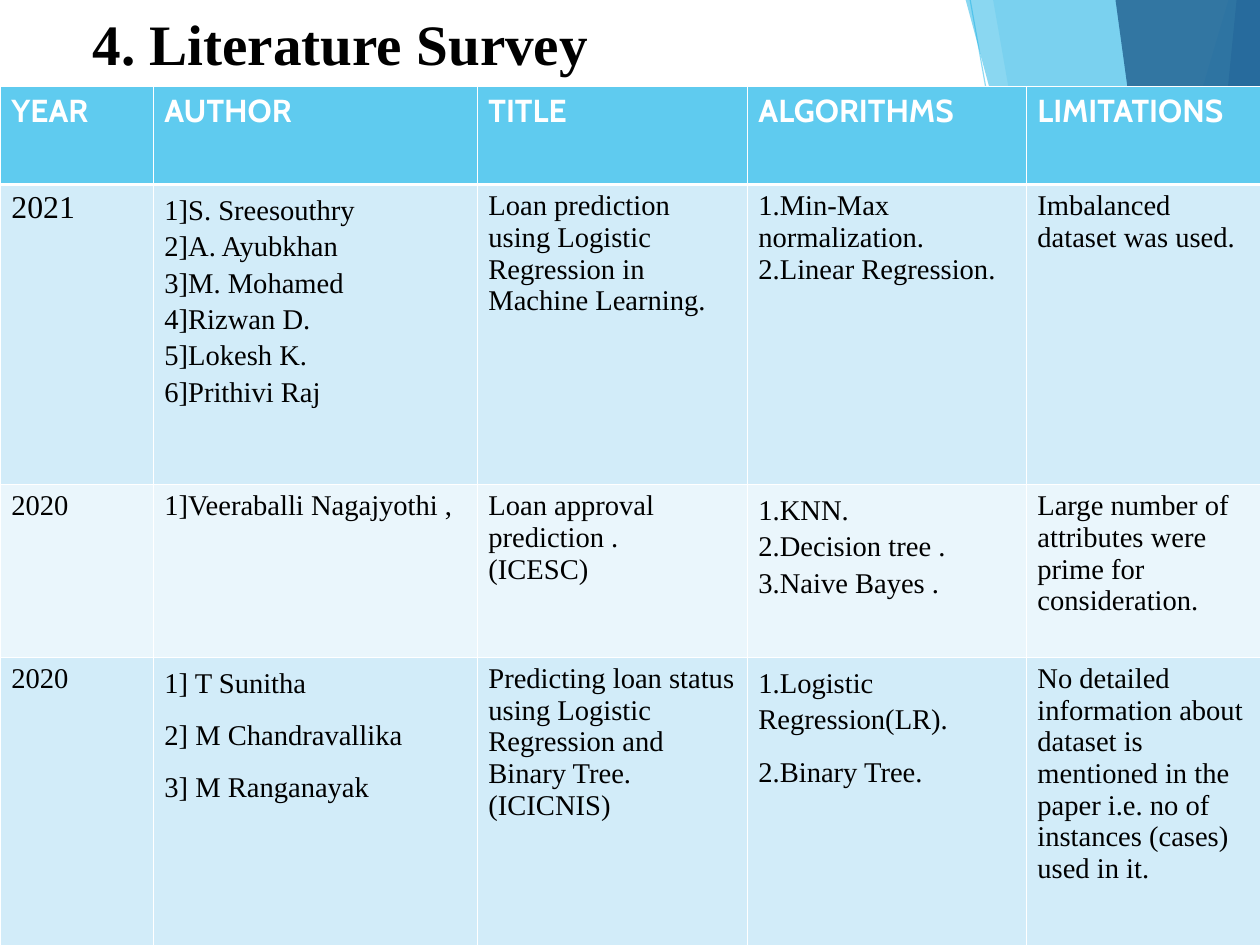
from dataclasses import dataclass

from lxml import etree
from pptx import Presentation, util as u
from pptx.dml.color import RGBColor
from pptx.enum import shapes, text
from pptx.oxml import ns


@dataclass(frozen=True)
class Theme:
    sky: str = "5FCBEF"
    azure: str = "17B0E4"
    blue: str = "2E83C3"
    navy: str = "236292"
    band_dark: str = "D2ECF9"
    band_light: str = "EAF6FC"
    white: str = "FFFFFF"
    black: str = "000000"
    heading_font: str = "Cabin"
    body_font: str = "Times New Roman"
    title_size: int = 36
    heading_size: int = 20
    body_size: int = 18
    thin_rule: float = 0.45
    thick_rule: float = 1.47


THEME = Theme()
SLIDE_WIDTH, SLIDE_HEIGHT = 28, 21

FACETS = [
    (27.3, 21.1, THEME.sky, 36),
    (22.07, 25.76, THEME.sky, 20),
    (21.46, 27.15, THEME.azure, 50),
    (27.48, 25.4, THEME.blue, 70),
    (24.79, 27.66, THEME.navy, 82),
]
FACET_EDGE = (21.56, 25.3)

PLAIN, LOOSE, SPACED = (None, 0), (1.15, 0), (1.15, 10)

HEADINGS = ["YEAR", "AUTHOR", "TITLE", "ALGORITHMS", "LIMITATIONS"]
COLUMN_WIDTHS = [3.4, 7.2, 6, 6.2, 5.2]
ROW_HEIGHTS = [2.18, 6.67, 3.84, 9.2]
PAPERS = [
    [
        ("2021", PLAIN),
        ("1]S. Sreesouthry\n2]A. Ayubkhan\n3]M. Mohamed\n"
         "4]Rizwan D.\n5]Lokesh K.\n6]Prithivi Raj", LOOSE),
        ("Loan prediction using Logistic Regression in Machine Learning.", PLAIN),
        ("1.Min-Max normalization.\n2.Linear Regression.", PLAIN),
        ("Imbalanced dataset was used.", PLAIN),
    ],
    [
        ("2020", PLAIN),
        ("1]Veeraballi Nagajyothi ,", PLAIN),
        ("Loan approval prediction .\n(ICESC)", PLAIN),
        ("1.KNN.\n2.Decision tree .\n3.Naive Bayes .", LOOSE),
        ("Large number of attributes were prime for consideration.", PLAIN),
    ],
    [
        ("2020", PLAIN),
        ("1] T Sunitha\n2] M Chandravallika\n3] M Ranganayak", SPACED),
        ("Predicting loan status using Logistic Regression and Binary Tree.\n"
         "(ICICNIS)", PLAIN),
        ("1.Logistic Regression(LR).\n2.Binary Tree.", SPACED),
        ("No detailed information about dataset is mentioned in the paper "
         "i.e. no of instances (cases) used in it.", PLAIN),
    ],
]


def format_text(frame, font, size, color, bold=False, spacing=PLAIN):
    line_spacing, space_after = spacing
    for paragraph in frame.paragraphs:
        paragraph.alignment = text.PP_ALIGN.LEFT
        paragraph.line_spacing = line_spacing
        paragraph.space_after = u.Pt(space_after)
        for run in paragraph.runs:
            run.font.name = font
            run.font.size = u.Pt(size)
            run.font.bold = bold
            run.font.color.rgb = RGBColor.from_string(color)


def set_opacity(properties, percent):
    color = next(properties.iter(ns.qn("a:srgbClr")))
    etree.SubElement(color, ns.qn("a:alpha"), val=str(percent * 1000))


def add_facets(slide, left, top, width, height):
    def point(x, y):
        return u.Cm(left + x), u.Cm(top + y)

    top_x, bottom_x = FACET_EDGE
    edge = slide.shapes.add_connector(
        shapes.MSO_CONNECTOR.STRAIGHT, *point(top_x, 0), *point(bottom_x, height))
    edge.line.color.rgb = RGBColor.from_string(THEME.sky)
    edge.line.width = u.Pt(0.75)
    properties = edge.line._get_or_add_ln().getparent()
    set_opacity(properties, 70)
    etree.SubElement(properties, ns.qn("a:effectLst"))

    for top_x, bottom_x, color, opacity in FACETS:
        outline = slide.shapes.build_freeform(*point(top_x, 0))
        outline.add_line_segments(
            [point(bottom_x, height), point(width, height), point(width, 0)])
        facet = outline.convert_to_shape()
        facet.shadow.inherit = False
        facet.line.fill.background()
        facet.fill.solid()
        facet.fill.fore_color.rgb = RGBColor.from_string(color)
        set_opacity(facet.fill._xPr, opacity)


def add_title(slide, left, top, width, height):
    title = slide.shapes.title
    title.left, title.top = u.Cm(left), u.Cm(top)
    title.width, title.height = u.Cm(width), u.Cm(height)
    frame = title.text_frame
    frame.text = "4. Literature Survey"
    frame.word_wrap = True
    frame.auto_size = text.MSO_AUTO_SIZE.NONE
    frame.vertical_anchor = text.MSO_ANCHOR.TOP
    format_text(frame, THEME.body_font, THEME.title_size, THEME.black, bold=True)


def style_cell(cell, fill, top_rule, bottom_rule):
    properties = cell._tc.get_or_add_tcPr()
    rules = {"L": THEME.thin_rule, "R": THEME.thin_rule,
             "T": top_rule, "B": bottom_rule}
    for side, width in rules.items():
        rule = etree.SubElement(
            properties, ns.qn(f"a:ln{side}"), w=str(int(u.Pt(width))))
        paint = etree.SubElement(rule, ns.qn("a:solidFill"))
        etree.SubElement(paint, ns.qn("a:srgbClr"), val=THEME.white)
    cell.fill.solid()
    cell.fill.fore_color.rgb = RGBColor.from_string(fill)


def add_survey(slide, left, top, width, height):
    survey = slide.shapes.add_table(
        len(PAPERS) + 1, len(HEADINGS),
        u.Cm(left), u.Cm(top), u.Cm(width), u.Cm(height)).table
    for column, column_width in zip(survey.columns, COLUMN_WIDTHS):
        column.width = u.Cm(column_width)
    for row, row_height in zip(survey.rows, ROW_HEIGHTS):
        row.height = u.Cm(row_height)

    for index, heading in enumerate(HEADINGS):
        cell = survey.cell(0, index)
        cell.text_frame.text = heading
        format_text(cell.text_frame, THEME.heading_font, THEME.heading_size,
                    THEME.white, bold=True)
        style_cell(cell, THEME.sky, THEME.thin_rule, THEME.thick_rule)

    for number, paper in enumerate(PAPERS, 1):
        band = THEME.band_dark if number % 2 else THEME.band_light
        top_rule = THEME.thick_rule if number == 1 else THEME.thin_rule
        for index, (entry, spacing) in enumerate(paper):
            cell = survey.cell(number, index)
            cell.text_frame.text = entry
            latest_year = number == 1 and index == 0
            size = THEME.heading_size if latest_year else THEME.body_size
            format_text(cell.text_frame, THEME.body_font, size, THEME.black,
                        spacing=spacing)
            style_cell(cell, band, top_rule, THEME.thin_rule)


def main():
    deck = Presentation()
    deck.slide_width, deck.slide_height = u.Cm(SLIDE_WIDTH), u.Cm(SLIDE_HEIGHT)
    slide = deck.slides.add_slide(deck.slide_layouts[5])
    add_facets(slide, 0, 0, SLIDE_WIDTH, SLIDE_HEIGHT)
    add_survey(slide, 0, 1.92, sum(COLUMN_WIDTHS), sum(ROW_HEIGHTS))
    add_title(slide, 1.8, 0.05, 14.05, 1.78)
    deck.save("out.pptx")


if __name__ == "__main__":
    main()
